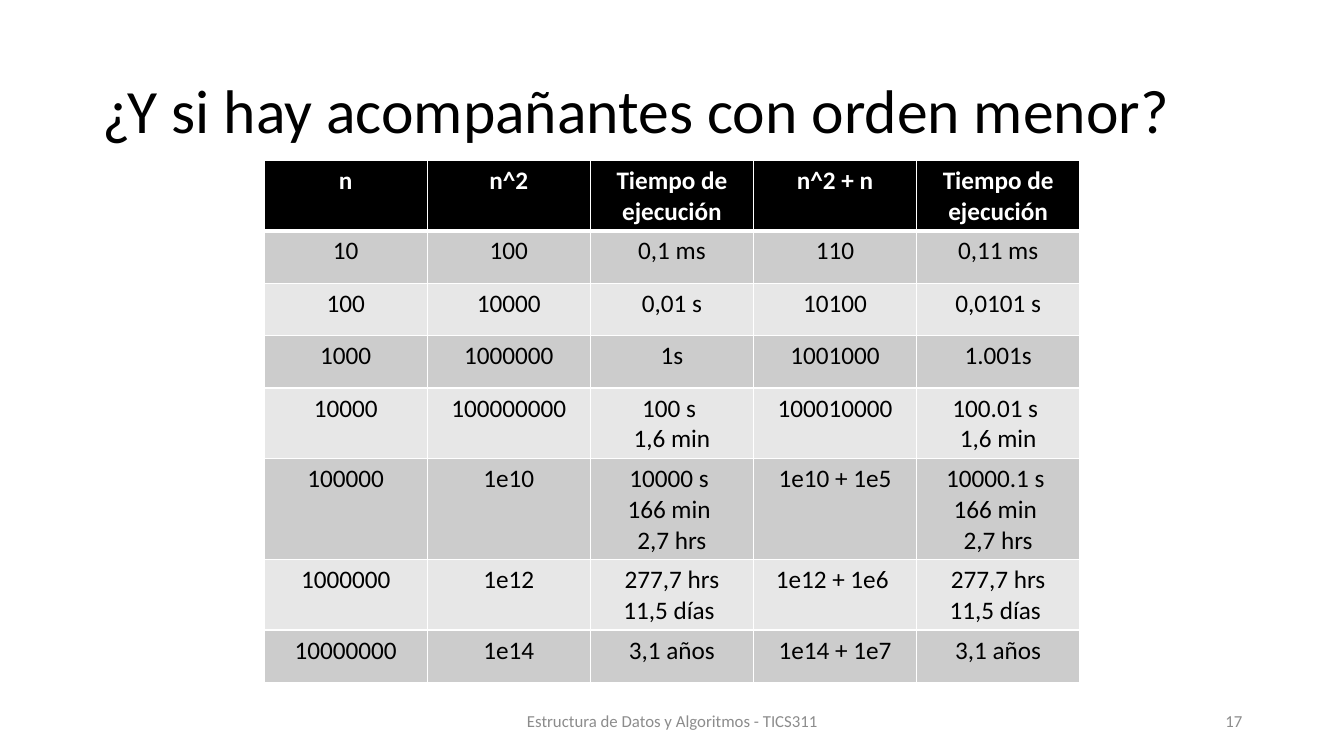
from dataclasses import dataclass

from lxml import etree
from pptx import Presentation
from pptx.dml import color
from pptx.enum import text
from pptx.oxml import ns
from pptx.util import Inches, Pt


@dataclass(frozen=True)
class Theme:
    font: str = "Calibri"
    ink: str = "000000"
    paper: str = "FFFFFF"
    muted: str = "8C8C8C"
    bands: tuple = ("CCCCCC", "E7E7E7")
    title_size: int = 44
    table_size: int = 18
    footer_size: int = 12
    thin: int = 1
    thick: int = 3


THEME = Theme()
ALIGN = text.PP_ALIGN

# One row per entry; a line break starts a new paragraph
ROWS = [
    ("n", "n^2", "Tiempo de ejecución", "n^2 + n", "Tiempo de ejecución"),
    ("10", "100", "0,1 ms", "110", "0,11 ms"),
    ("100", "10000", "0,01 s", "10100", "0,0101 s"),
    ("1000", "1000000", "1s", "1001000", "1.001s"),
    ("10000", "100000000", "100 s \n1,6 min", "100010000", "100.01 s \n1,6 min"),
    ("100000", "1e10", "10000 s \n166 min \n2,7 hrs", "1e10 + 1e5",
     "10000.1 s \n166 min \n2,7 hrs"),
    ("1000000", "1e12", "277,7 hrs 11,5 días ", "1e12 + 1e6 ", "277,7 hrs 11,5 días "),
    ("10000000", "1e14", "3,1 años", "1e14 + 1e7", "3,1 años"),
]


def write(frame, content, size, ink, align, bold=False):
    frame.text = content
    for paragraph in frame.paragraphs:
        paragraph.alignment = align
        font = paragraph.font
        font.name, font.size, font.bold = THEME.font, Pt(size), bold
        font.color.rgb = color.RGBColor.from_string(ink)


def add_label(slide, box, content, size, ink, align):
    frame = slide.shapes.add_textbox(*map(Inches, box)).text_frame
    frame.word_wrap = True
    frame.vertical_anchor = text.MSO_ANCHOR.MIDDLE
    write(frame, content, size, ink, align)
    return frame


def set_borders(cell, top, bottom):
    properties = cell._tc.get_or_add_tcPr()
    widths = {"lnL": THEME.thin, "lnR": THEME.thin, "lnT": top, "lnB": bottom}
    for side, width in widths.items():
        line = etree.SubElement(properties, ns.qn(f"a:{side}"), w=str(Pt(width)))
        fill = etree.SubElement(line, ns.qn("a:solidFill"))
        etree.SubElement(fill, ns.qn("a:srgbClr"), val=THEME.paper)


def add_title(slide, box):
    frame = add_label(slide, box, "¿Y si hay acompañantes con orden menor?",
                      THEME.title_size, THEME.ink, ALIGN.LEFT)
    frame.paragraphs[0].line_spacing = 0.9


def add_times_table(slide, box, header_height=0.48, row_height=0.52):
    table = slide.shapes.add_table(len(ROWS), len(ROWS[0]), *map(Inches, box)).table
    for column in table.columns:
        column.width = Inches(box[2] / len(ROWS[0]))
    for index, values in enumerate(ROWS):
        header = index == 0
        table.rows[index].height = Inches(header_height if header else row_height)
        background = THEME.ink if header else THEME.bands[(index - 1) % 2]
        for cell, value in zip(table.rows[index].cells, values):
            # The rule under the header is shared by the first two rows
            set_borders(cell, THEME.thick if index == 1 else THEME.thin,
                        THEME.thick if header else THEME.thin)
            cell.fill.solid()
            cell.fill.fore_color.rgb = color.RGBColor.from_string(background)
            write(cell.text_frame, value, THEME.table_size,
                  THEME.paper if header else THEME.ink, ALIGN.CENTER, header)


def add_footer(slide, box):
    left, top, width, height = box
    course_width, number_width = 4.5, 3
    course_left = left + (width - course_width) / 2
    number_left = left + width - number_width
    add_label(slide, (course_left, top, course_width, height),
              "Estructura de Datos y Algoritmos - TICS311",
              THEME.footer_size, THEME.muted, ALIGN.CENTER)
    add_label(slide, (number_left, top, number_width, height), "17",
              THEME.footer_size, THEME.muted, ALIGN.RIGHT)


def main():
    presentation = Presentation()
    presentation.slide_width = Inches(13.33)
    presentation.slide_height = Inches(7.5)
    slide = presentation.slides.add_slide(presentation.slide_layouts[6])
    add_title(slide, (0.92, 0.4, 11.5, 1.45))
    add_times_table(slide, (2.62, 1.59, 8.09, 5.17))
    add_footer(slide, (0.92, 6.95, 11.5, 0.4))
    presentation.save("out.pptx")


if __name__ == "__main__":
    main()
